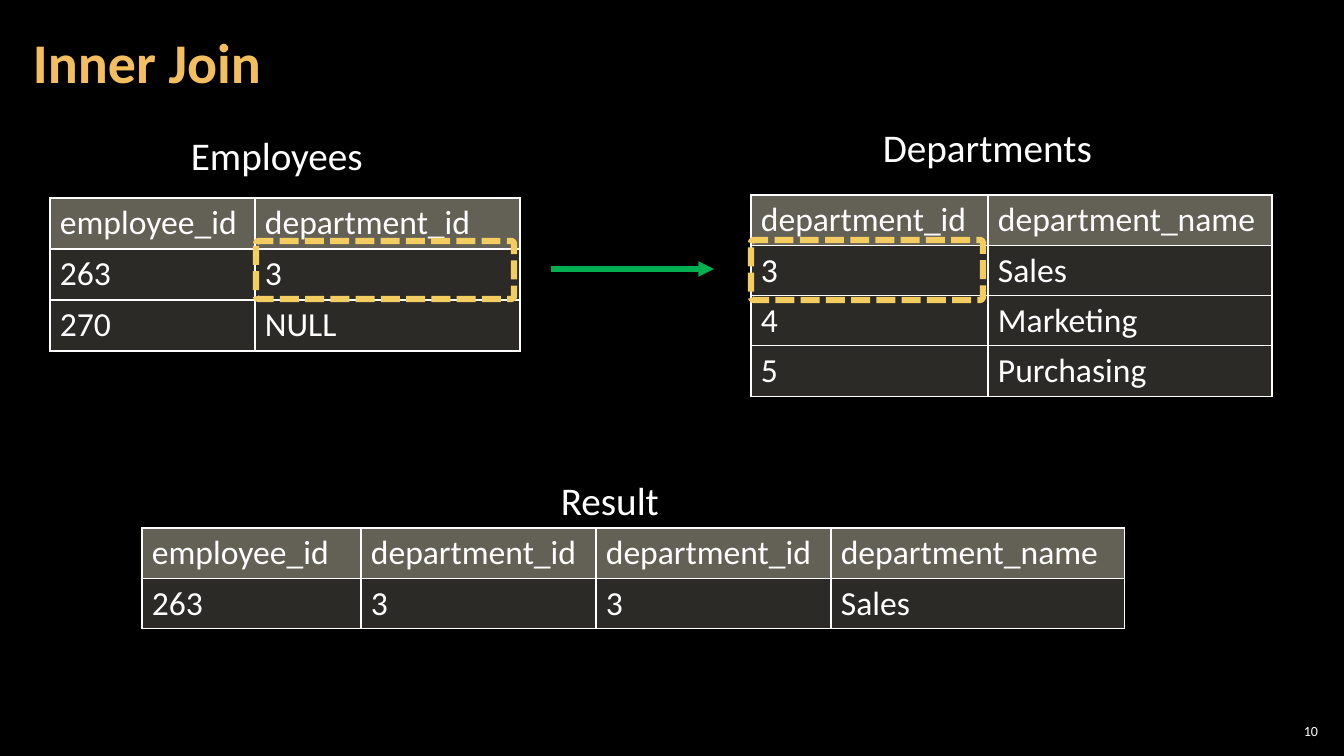
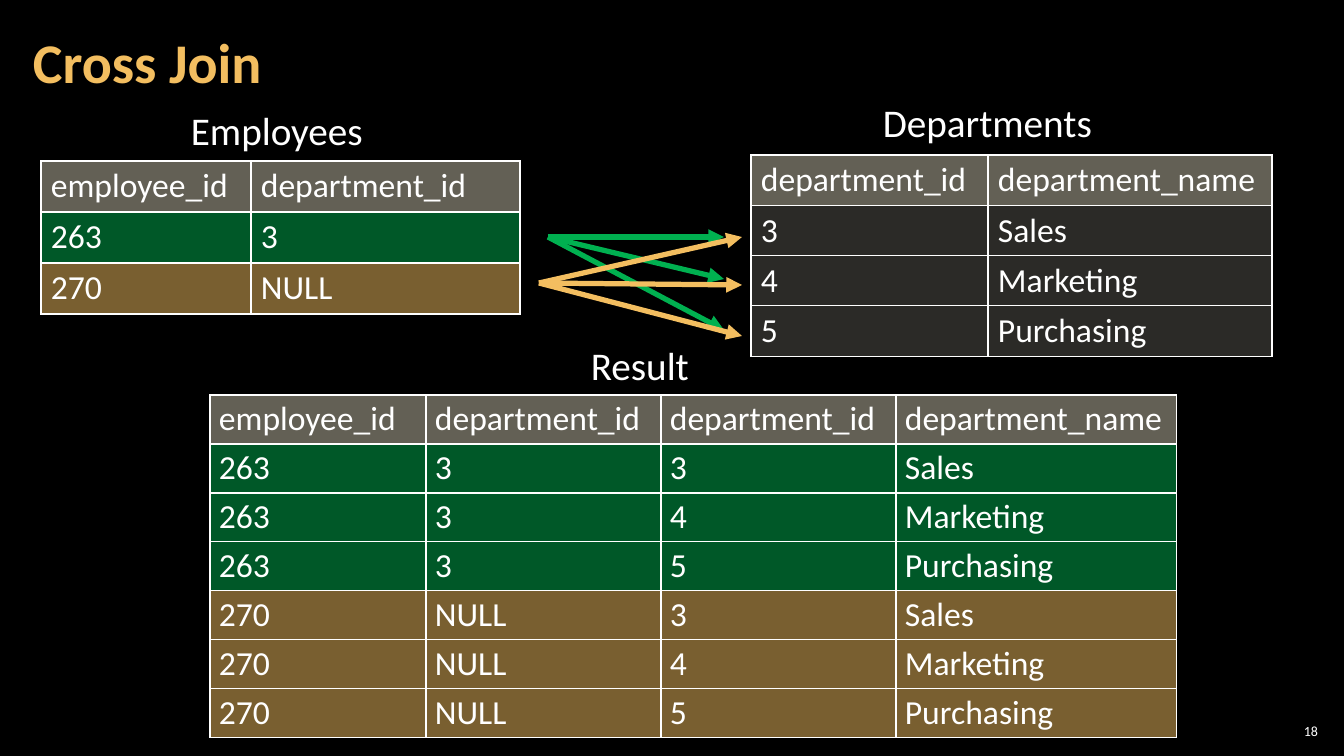
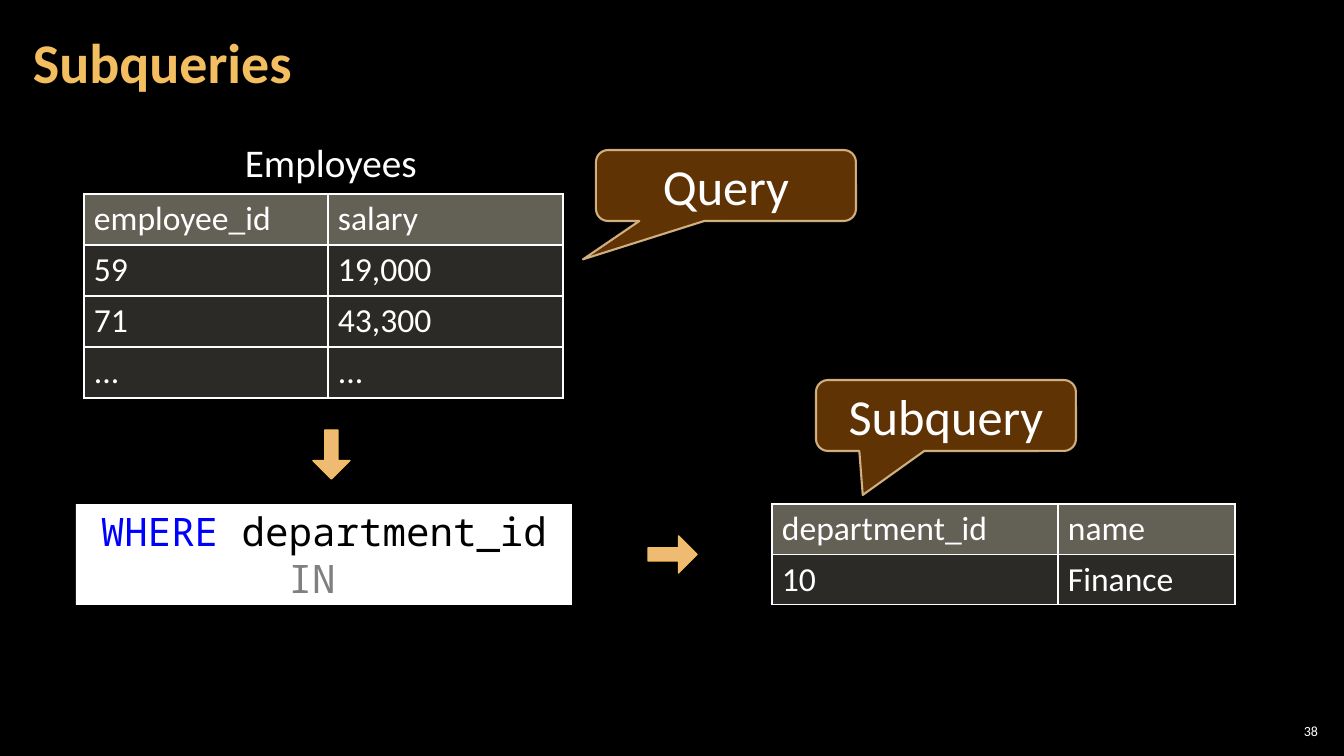
import dataclasses
import itertools
import typing

import lxml.etree
import pptx
import pptx.dml.color
import pptx.enum.dml
import pptx.enum.shapes
import pptx.enum.text
import pptx.oxml.ns
import pptx.util

EMU_PER_PX = 914400 / 100.8
TITLE_ONLY_LAYOUT = 5

SHAPES = pptx.enum.shapes.MSO_SHAPE
ALIGN = pptx.enum.text.PP_ALIGN
ANCHOR = pptx.enum.text.MSO_ANCHOR


class Paint(typing.NamedTuple):
    color: str
    opacity: int = 100


@dataclasses.dataclass(frozen=True)
class Theme:
    font: str = "Calibri"
    code_font: str = "Noto Sans Mono"
    background: str = "000000"
    text: str = "FFFFFF"
    gold: str = "F3BE60"
    green: str = "00B050"
    highlight: str = "F3CD60"
    block_arrow: str = "EFBB72"
    code_background: str = "FFFFFF"
    code_text: str = "000000"
    code_keyword: str = "0000FF"
    code_operator: str = "808080"
    header_row: Paint = Paint("C6C0AA", 50)
    plain_row: Paint = Paint("D9D5C7", 20)
    green_row: Paint = Paint("00B050", 50)
    gold_row: Paint = Paint("F3BE60", 50)
    callout_fill: Paint = Paint("663606", 95)
    callout_line: Paint = Paint("F8D49E", 80)
    title_size: int = 40
    callout_size: int = 36
    label_size: int = 28
    table_size: int = 24
    number_size: int = 10
    thick_line: float = 3.75


THEME = Theme()


class Box(typing.NamedTuple):
    left: int
    top: int
    width: int
    height: int


class Label(typing.NamedTuple):
    text: str
    left: int
    top: int
    width: int


class Arrow(typing.NamedTuple):
    start: tuple[int, int]
    end: tuple[int, int]
    color: str


class Callout(typing.NamedTuple):
    text: str
    left: int
    top: int
    pointer: tuple[float, float]


Row = tuple[str, ...]


@dataclasses.dataclass(frozen=True)
class TableSpec:
    left: int
    top: int
    columns: tuple[int, ...]
    rows: list[Row]
    row_height: int = 50
    tints: tuple[Paint, ...] = ()
    margins: tuple[int, int] = (10, 5)


EMPLOYEE_HEADER: Row = ("employee_id", "department_id")
EMPLOYEES: list[Row] = [("263", "3"), ("270", "NULL")]
DEPARTMENT_HEADER: Row = ("department_id", "department_name")
DEPARTMENTS: list[Row] = [("3", "Sales"), ("4", "Marketing"), ("5", "Purchasing")]
DEPARTMENT_COLUMNS = (237, 284)
JOINED_HEADER = EMPLOYEE_HEADER + DEPARTMENT_HEADER
CROSS_ROWS = [employee + department
              for employee, department in itertools.product(EMPLOYEES, DEPARTMENTS)]
INNER_ROWS = [row for row in CROSS_ROWS if row[1] == row[2]]


def px(length: float) -> pptx.util.Emu:
    return pptx.util.Emu(round(length * EMU_PER_PX))


def emu_box(box: Box) -> list[pptx.util.Emu]:
    return [px(length) for length in box]


def rgb(color: str) -> pptx.dml.color.RGBColor:
    return pptx.dml.color.RGBColor.from_string(color)


def add_xml(parent: typing.Any, tag: str, **attributes: str) -> typing.Any:
    child = lxml.etree.SubElement(parent, pptx.oxml.ns.qn(tag))
    for name, value in attributes.items():
        child.set(name, value)
    return child


def apply_fill(fill: typing.Any, paint: Paint, owner: typing.Any) -> None:
    fill.solid()
    fill.fore_color.rgb = rgb(paint.color)
    if paint.opacity < 100:
        color = owner.find(pptx.oxml.ns.qn("a:solidFill"))[0]
        add_xml(color, "a:alpha", val=str(paint.opacity * 1000))


def format_run(run: typing.Any, size: int, color: str,
               font: str = THEME.font, bold: bool = False) -> None:
    run.font.name = font
    run.font.size = pptx.util.Pt(size)
    run.font.bold = bold
    run.font.color.rgb = rgb(color)


def set_text(frame: typing.Any, text: str, size: int, color: str = THEME.text,
             align: typing.Any = ALIGN.LEFT, bold: bool = False) -> None:
    frame.text = text
    paragraph = frame.paragraphs[0]
    paragraph.alignment = align
    format_run(paragraph.runs[0], size, color, bold=bold)


def set_margins(target: typing.Any, horizontal: int, vertical: int) -> None:
    target.margin_left = target.margin_right = px(horizontal)
    target.margin_top = target.margin_bottom = px(vertical)


def add_title(slide: typing.Any, text: str) -> None:
    title = slide.shapes.title
    title.left, title.top, title.width, title.height = emu_box(Box(21, 4, 1055, 122))
    frame = title.text_frame
    set_text(frame, text, THEME.title_size, THEME.gold, bold=True)
    frame.paragraphs[0].line_spacing = 0.9
    frame.auto_size = pptx.enum.text.MSO_AUTO_SIZE.NONE
    frame.vertical_anchor = ANCHOR.MIDDLE
    set_margins(frame, 12, 4)


def add_number(slide: typing.Any, number: int) -> None:
    frame = slide.shapes.add_textbox(*emu_box(Box(1275, 720, 47, 21))).text_frame
    set_text(frame, str(number), THEME.number_size, align=ALIGN.RIGHT)
    frame.word_wrap = True
    frame.vertical_anchor = ANCHOR.MIDDLE
    set_margins(frame, 4, 4)


def add_label(slide: typing.Any, label: Label) -> None:
    box = Box(label.left, label.top, label.width, 57)
    frame = slide.shapes.add_textbox(*emu_box(box)).text_frame
    frame.word_wrap = False
    frame.auto_size = pptx.enum.text.MSO_AUTO_SIZE.SHAPE_TO_FIT_TEXT
    set_text(frame, label.text, THEME.label_size)


def add_borders(cell: typing.Any) -> None:
    properties = cell._tc.get_or_add_tcPr()
    for index, tag in enumerate(("a:lnL", "a:lnR", "a:lnT", "a:lnB")):
        border = add_xml(properties, tag, w=str(pptx.util.Pt(1)))
        add_xml(add_xml(border, "a:solidFill"), "a:srgbClr", val=THEME.text)
        properties.insert(index, border)


def add_table(slide: typing.Any, spec: TableSpec) -> None:
    box = Box(spec.left, spec.top, sum(spec.columns), spec.row_height * len(spec.rows))
    table = slide.shapes.add_table(len(spec.rows), len(spec.columns), *emu_box(box)).table
    table.first_row = table.horz_banding = False
    for column, width in zip(table.columns, spec.columns):
        column.width = px(width)
    body_tints = spec.tints or (THEME.plain_row,) * (len(spec.rows) - 1)
    for row, texts, tint in zip(table.rows, spec.rows, (THEME.header_row, *body_tints)):
        row.height = px(spec.row_height)
        for cell, text in zip(row.cells, texts):
            set_text(cell.text_frame, text, THEME.table_size)
            set_margins(cell, *spec.margins)
            apply_fill(cell.fill, tint, cell._tc.get_or_add_tcPr())
            add_borders(cell)


def add_arrow(slide: typing.Any, arrow: Arrow) -> None:
    connector = slide.shapes.add_connector(
        pptx.enum.shapes.MSO_CONNECTOR.STRAIGHT,
        *(px(length) for length in arrow.start + arrow.end))
    connector.line.color.rgb = rgb(arrow.color)
    connector.line.width = pptx.util.Pt(THEME.thick_line)
    properties = connector.element.spPr
    add_xml(properties.find(pptx.oxml.ns.qn("a:ln")), "a:tailEnd", type="triangle")
    add_xml(properties, "a:effectLst")


def add_shape(slide: typing.Any, kind: typing.Any, box: Box,
              adjustments: tuple[float, ...] = (), fill: Paint | None = None,
              line: Paint | None = None, line_width: float = 1) -> typing.Any:
    shape = slide.shapes.add_shape(kind, *emu_box(box))
    shape.shadow.inherit = False
    for index, value in enumerate(adjustments):
        shape.adjustments[index] = value
    properties = shape.element.spPr
    if fill:
        apply_fill(shape.fill, fill, properties)
    else:
        shape.fill.background()
    if line:
        shape.line.width = pptx.util.Pt(line_width)
        apply_fill(shape.line.fill, line, properties.find(pptx.oxml.ns.qn("a:ln")))
    else:
        shape.line.fill.background()
    return shape


def add_highlight(slide: typing.Any, box: Box) -> None:
    shape = add_shape(slide, SHAPES.ROUNDED_RECTANGLE, box, (0.05,),
                      line=Paint(THEME.highlight), line_width=4.5)
    shape.line.dash_style = pptx.enum.dml.MSO_LINE.SQUARE_DOT


def add_block_arrow(slide: typing.Any, kind: typing.Any, box: Box) -> None:
    add_shape(slide, kind, box, (0.35, 0.5), Paint(THEME.block_arrow), Paint(THEME.gold))


def add_callout(slide: typing.Any, callout: Callout) -> None:
    shape = add_shape(slide, SHAPES.ROUNDED_RECTANGULAR_CALLOUT,
                      Box(callout.left, callout.top, 260, 71), (*callout.pointer, 0.17),
                      THEME.callout_fill, THEME.callout_line, 1.5)
    set_text(shape.text_frame, callout.text, THEME.callout_size, align=ALIGN.CENTER)
    shape.text_frame.vertical_anchor = ANCHOR.MIDDLE


def add_code(slide: typing.Any, box: Box, pieces: list[tuple[str, str]]) -> None:
    shape = add_shape(slide, SHAPES.RECTANGLE, box, fill=Paint(THEME.code_background))
    frame = shape.text_frame
    frame.word_wrap = True
    frame.vertical_anchor = ANCHOR.MIDDLE
    paragraph = frame.paragraphs[0]
    paragraph.alignment = ALIGN.CENTER
    for text, color in pieces:
        run = paragraph.add_run()
        run.text = text
        format_run(run, THEME.label_size, color, THEME.code_font)


def add_slide(presentation: typing.Any, title: str, number: int,
              tables: list[TableSpec], labels: list[Label]) -> typing.Any:
    slide = presentation.slides.add_slide(presentation.slide_layouts[TITLE_ONLY_LAYOUT])
    add_number(slide, number)
    add_title(slide, title)
    for table in tables:
        add_table(slide, table)
    for label in labels:
        add_label(slide, label)
    return slide


def build_inner_join(presentation: typing.Any) -> None:
    slide = add_slide(
        presentation, "Inner Join", 10,
        [TableSpec(50, 198, (205, 265), [EMPLOYEE_HEADER, *EMPLOYEES], 51),
         TableSpec(751, 195, DEPARTMENT_COLUMNS, [DEPARTMENT_HEADER, *DEPARTMENTS]),
         TableSpec(142, 528, (219, 235, 235, 294), [JOINED_HEADER, *INNER_ROWS])],
        [Label("Employees", 181, 126, 194), Label("Departments", 873, 118, 232),
         Label("Result", 551, 471, 120)])
    add_arrow(slide, Arrow((551, 269), (714, 269), THEME.green))
    for box in (Box(256, 241, 258, 58), Box(751, 240, 232, 60)):
        add_highlight(slide, box)


def build_cross_join(presentation: typing.Any) -> None:
    tints = (THEME.green_row, THEME.gold_row)
    joined_tints = tuple(tint for tint in tints for _ in DEPARTMENTS)
    slide = add_slide(
        presentation, "Cross Join", 18,
        [TableSpec(41, 161, (210, 269), [EMPLOYEE_HEADER, *EMPLOYEES], 51, tints),
         TableSpec(751, 155, DEPARTMENT_COLUMNS, [DEPARTMENT_HEADER, *DEPARTMENTS]),
         TableSpec(210, 395, (216, 235, 235, 281), [JOINED_HEADER, *CROSS_ROWS],
                   49, joined_tints, (9, 4))],
        [Label("Employees", 181, 101, 194), Label("Departments", 873, 93, 232),
         Label("Result", 581, 336, 120)])
    fans = (((548, 237), 724, (237, 279, 330), THEME.green),
            ((539, 283), 742, (237, 285, 336), THEME.gold))
    for start, end_left, end_tops, color in fans:
        for end_top in end_tops:
            add_arrow(slide, Arrow(start, (end_left, end_top), color))


def build_subqueries(presentation: typing.Any) -> None:
    slide = add_slide(
        presentation, "Subqueries", 38,
        [TableSpec(84, 194, (244, 235),
                   [("employee_id", "salary"), ("59", "19,000"),
                    ("71", "43,300"), ("...", "...")], 51),
         TableSpec(772, 504, (286, 177), [("department_id", "name"), ("10", "Finance")])],
        [Label("Employees", 235, 133, 194)])
    add_code(slide, Box(76, 504, 496, 101),
             [("WHERE", THEME.code_keyword), (" department_id ", THEME.code_text),
              ("IN", THEME.code_operator), (" ", THEME.code_text)])
    add_block_arrow(slide, SHAPES.DOWN_ARROW, Box(313, 430, 37, 49))
    add_block_arrow(slide, SHAPES.RIGHT_ARROW, Box(648, 536, 49, 37))
    for callout in (Callout("Query", 596, 150, (-0.55, 1.04)),
                    Callout("Subquery", 816, 380, (-0.32, 1.12))):
        add_callout(slide, callout)


def main() -> None:
    presentation = pptx.Presentation()
    presentation.slide_width = px(1344)
    presentation.slide_height = px(756)
    background = presentation.slide_master.background.fill
    background.solid()
    background.fore_color.rgb = rgb(THEME.background)
    build_inner_join(presentation)
    build_cross_join(presentation)
    build_subqueries(presentation)
    presentation.save("out.pptx")


if __name__ == "__main__":
    main()
